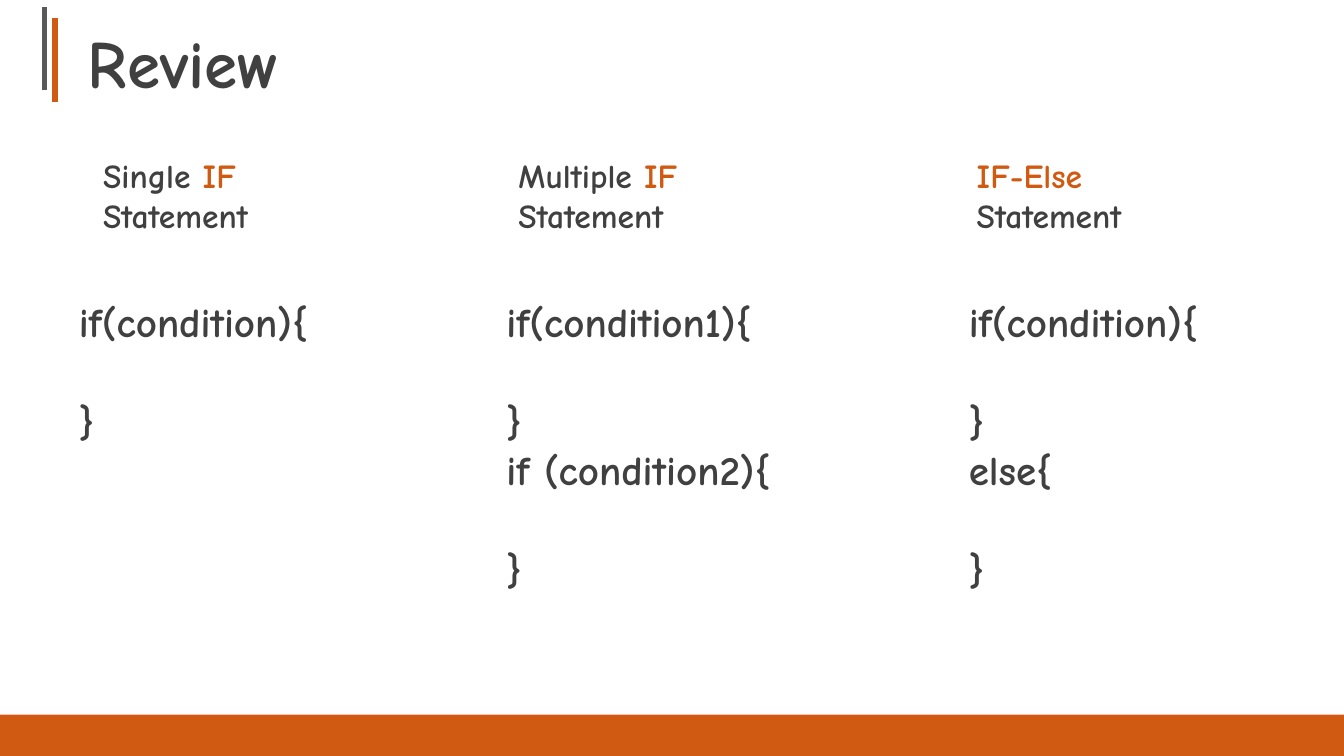
from lxml import etree
from pptx import Presentation
from pptx.dml.color import RGBColor
from pptx.enum.shapes import MSO_CONNECTOR, MSO_SHAPE
from pptx.enum.text import MSO_ANCHOR, MSO_AUTO_SIZE, PP_ALIGN
from pptx.oxml.ns import qn
from pptx.util import Cm, Pt

STRAIGHT = MSO_CONNECTOR.STRAIGHT
RECTANGLE = MSO_SHAPE.RECTANGLE
TOP, BOTTOM = MSO_ANCHOR.TOP, MSO_ANCHOR.BOTTOM
NO_FIT, GROW = MSO_AUTO_SIZE.NONE, MSO_AUTO_SIZE.SHAPE_TO_FIT_TEXT
LEFT = PP_ALIGN.LEFT

FONT = "Comic Neue"
DARK = RGBColor(0x40, 0x40, 0x40)
GRAY = RGBColor(0x59, 0x59, 0x59)
ORANGE = RGBColor(0xD1, 0x5A, 0x12)

INSET = Cm(0.25)
CODE_SIZE = 22
BLANK_LINE = Pt(26.4)

COLUMNS = [
    (1.7, [[("Single ", DARK), ("IF ", ORANGE), ("Statement", DARK)]],
     1.24, [("if(condition){", "}")]),
    (9.55, [[("Multiple ", DARK), ("IF ", ORANGE), ("Statement", DARK)]],
     9.32, [("if(condition1){", "}"), ("if (condition2){", "}")]),
    (18.21, [[("IF-Else", ORANGE)], [("Statement", DARK)]],
     18.06, [("if(condition){", "}"), ("else{", "}")]),
]


def add_run(p, text, size, color):
    """Append a bold run to a paragraph."""
    r = p.add_run()
    r.text = text
    r.font.name = FONT
    r.font.size = Pt(size)
    r.font.bold = True
    r.font.color.rgb = color


def format_frame(tf, anchor, fit):
    """Set wrapping, insets, anchor and fitting of a text frame."""
    tf.word_wrap = True
    tf.auto_size = fit
    tf.vertical_anchor = anchor
    tf.margin_left = tf.margin_right = INSET
    tf.margin_top = tf.margin_bottom = INSET


def add_lines(s, box, lines, size, fit):
    """Add a text box with one paragraph per line of runs."""
    tf = s.shapes.add_textbox(*box).text_frame
    format_frame(tf, TOP, fit)
    for i, runs in enumerate(lines):
        p = tf.add_paragraph() if i else tf.paragraphs[0]
        p.alignment = LEFT
        for text, color in runs:
            add_run(p, text, size, color)
    return tf


def add_accent(s, x, y, height, color):
    """Add a vertical accent line beside the title."""
    line = s.shapes.add_connector(STRAIGHT, x, y, x, y + height)
    line.line.color.rgb = color
    line.line.width = Pt(3)
    etree.SubElement(line._element.spPr, qn("a:effectLst"))


def add_header(s, x, y, width, height):
    """Place the title and its two accent lines."""
    title = s.shapes.title
    title.left, title.top, title.width, title.height = x, y, width, height
    tf = title.text_frame
    format_frame(tf, BOTTOM, NO_FIT)
    tf.margin_left = Cm(1.66)
    p = tf.paragraphs[0]
    p.alignment = LEFT
    add_run(p, "Review", 36, DARK)
    add_accent(s, x + Cm(1.04), y + Cm(0.35), Cm(1.58), ORANGE)
    add_accent(s, x + Cm(0.84), y + Cm(0.13), Cm(1.58), GRAY)


def add_heading(s, x, y, width, height, lines):
    """Place the heading of a column."""
    add_lines(s, (x, y, width, height), lines, 18, GROW)


def add_code(s, x, y, width, height, blocks):
    """Place code blocks with an empty body between their braces."""
    lines = [[(text, DARK)] for block in blocks for text in block]
    tf = add_lines(s, (x, y, width, height), lines, CODE_SIZE, NO_FIT)
    for p in tf.paragraphs[1::2]:
        p.space_before = BLANK_LINE


def add_footer(s, x, y, width, height):
    """Place the coloured band along the bottom."""
    band = s.shapes.add_shape(RECTANGLE, x, y, width, height)
    band.shadow.inherit = False
    band.fill.solid()
    band.fill.fore_color.rgb = ORANGE
    band.line.fill.background()


def main():
    """Build the review slide."""
    prs = Presentation()
    prs.slide_width, prs.slide_height = Cm(25.4), Cm(14.29)
    s = prs.slides.add_slide(prs.slide_layouts[5])
    add_header(s, 0, 0, prs.slide_width, Cm(2.18))
    add_footer(s, 0, Cm(13.51), prs.slide_width, Cm(0.78))
    for heading_x, heading, code_x, blocks in COLUMNS:
        add_heading(s, Cm(heading_x), Cm(2.67), Cm(5.18), Cm(2.06), heading)
        add_code(s, Cm(code_x), Cm(5.36), Cm(9.58), Cm(5.94), blocks)
    prs.save("out.pptx")


if __name__ == "__main__":
    main()
